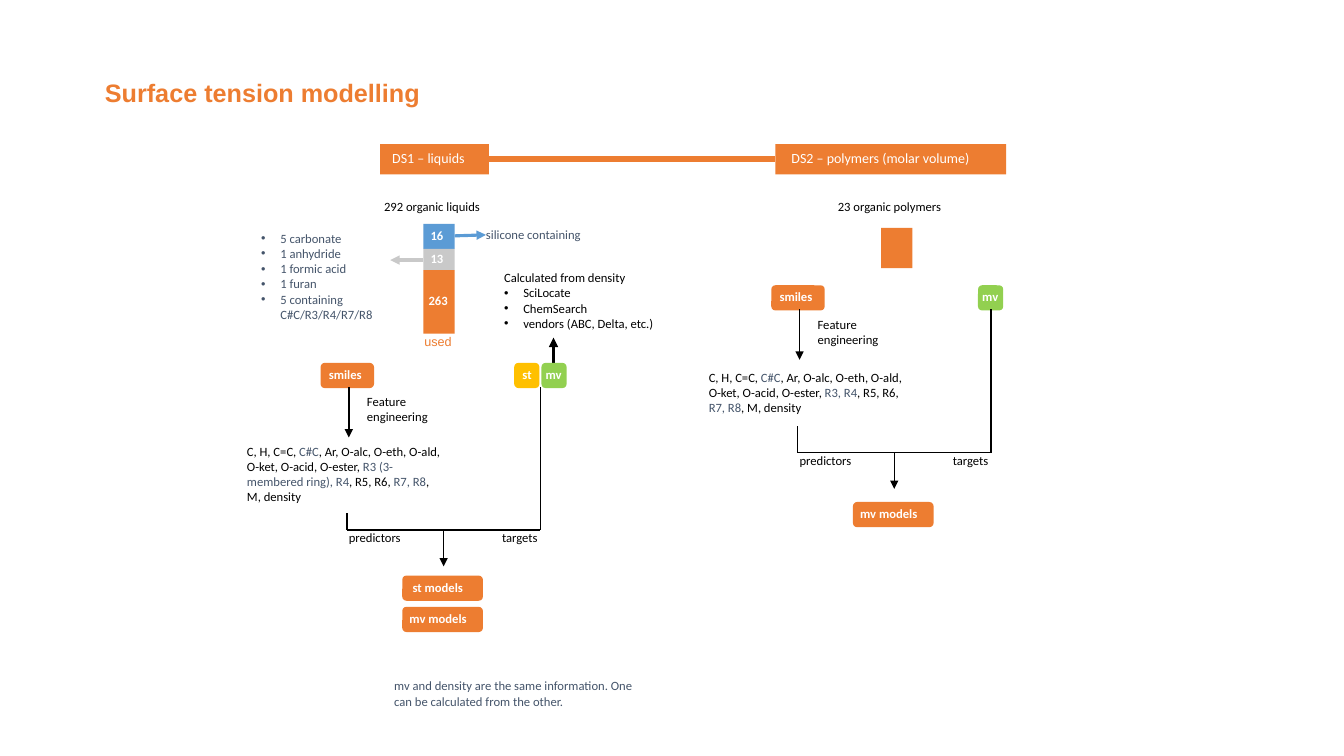
from dataclasses import dataclass

from lxml.etree import SubElement
from pptx import Presentation
from pptx.dml.color import RGBColor
from pptx.enum.shapes import MSO_CONNECTOR, MSO_SHAPE
from pptx.enum.text import MSO_ANCHOR, PP_ALIGN
from pptx.oxml.ns import qn
from pptx.util import Inches, Pt

COLUMNS, ROWS = 133.3, 75
ORANGE, BLUE, GREY = "ED7D31", "5B9BD5", "C9C9C9"
GREEN, YELLOW, SLATE = "92D050", "FFC000", "44546A"
BLACK, WHITE = "000000", "FFFFFF"


def cells(count):
    return Inches(count / 10)


def colour(hex_string):
    return RGBColor.from_string(hex_string)


@dataclass
class Box:
    slide: object
    column: float
    row: float

    def place(self, column, row, width, height):
        return (cells(self.column + column), cells(self.row + row),
                cells(width), cells(height))


def write(holder, paragraphs, size=9, ink=BLACK, font="Calibri", bold=False,
          anchor=MSO_ANCHOR.TOP, inset=(0, 0, 0, 0), bullets_from=None,
          line_spacing=None):
    frame = holder.text_frame
    frame.word_wrap = True
    frame.vertical_anchor = anchor
    (frame.margin_left, frame.margin_top,
     frame.margin_right, frame.margin_bottom) = map(cells, inset)
    for index, content in enumerate(paragraphs):
        paragraph = frame.paragraphs[0] if index == 0 else frame.add_paragraph()
        paragraph.alignment = PP_ALIGN.LEFT
        paragraph.line_spacing = line_spacing
        if bullets_from is not None and index >= bullets_from:
            properties = paragraph._p.get_or_add_pPr()
            properties.set("marL", str(cells(1.9)))
            properties.set("indent", str(-cells(1.9)))
            SubElement(properties, qn("a:buFont"), typeface="Arial")
            SubElement(properties, qn("a:buChar"), char="•")
        runs = [(content, ink)] if isinstance(content, str) else content
        for words, run_ink in runs:
            run = paragraph.add_run()
            run.text = words
            run.font.size = Pt(size)
            run.font.name = font
            run.font.bold = bold
            run.font.color.rgb = colour(run_ink)


def label(box, column, row, width, height, paragraphs, **formatting):
    holder = box.slide.shapes.add_textbox(*box.place(column, row, width, height))
    write(holder, paragraphs, **formatting)


def block(box, column, row, width, height, fill, words=None, indent=0.7,
          outline=MSO_SHAPE.RECTANGLE, **formatting):
    shape = box.slide.shapes.add_shape(outline, *box.place(column, row, width, height))
    shape.shadow.inherit = False
    shape.fill.solid()
    shape.fill.fore_color.rgb = colour(fill)
    shape.line.fill.background()
    if words:
        write(shape, [words], ink=WHITE, anchor=MSO_ANCHOR.MIDDLE,
              inset=(indent, 0, 0, 0.2), **formatting)


def pill(box, column, row, width, fill, words, indent):
    block(box, column, row, width, 2.5, fill, words, indent,
          outline=MSO_SHAPE.ROUNDED_RECTANGLE, bold=True)


def rule(box, start, end, ink=BLACK, weight=1, arrow=False):
    x1, y1, _, _ = box.place(*start, 0, 0)
    x2, y2, _, _ = box.place(*end, 0, 0)
    connector = box.slide.shapes.add_connector(MSO_CONNECTOR.STRAIGHT, x1, y1, x2, y2)
    connector.line.color.rgb = colour(ink)
    connector.line.width = Pt(weight)
    if arrow:
        SubElement(connector.line._get_or_add_ln(), qn("a:tailEnd"), type="triangle")
    SubElement(connector._element.spPr, qn("a:effectLst"))


def heading(slide):
    title = slide.shapes.title
    title.left, title.top, title.width, title.height = Box(slide, 0, 0).place(
        10.4, 5.8, 114.6, 4.9)
    write(title, ["Surface tension modelling"], size=18, ink=ORANGE, font="Arial",
          bold=True, anchor=MSO_ANCHOR.BOTTOM, line_spacing=0.9)


def dataset_band(box):
    rule(box, (10.8, 1.5), (39.2, 1.5), ORANGE, 4.5)
    block(box, 0, 0, 10.8, 3, ORANGE, "DS1 – liquids", 1.2, size=10)
    block(box, 39.2, 0, 22.9, 3, ORANGE, "DS2 – polymers (molar volume)", 1.6, size=10)


def liquids_summary(box):
    label(box, 0, 0, 11, 1.5, ["292 organic liquids"])
    segments = [("16", BLUE, 2.5, 0.7), ("13", GREY, 2.1, 0.7),
                ("263", ORANGE, 6.3, 0.5)]
    row = 2.5
    for count, fill, height, indent in segments:
        block(box, 3.9, row, 3.1, height, fill, count, indent, bold=True)
        row += height
    label(box, 4, row, 4, 1.5, ["used"], ink=ORANGE, font="Arial")
    rule(box, (7, 3.7), (10.1, 3.6), BLUE, 2.25, arrow=True)
    label(box, 10.1, 2.8, 11, 1.5, ["silicone containing"], ink=SLATE)
    rule(box, (3.9, 6.1), (0.6, 6.1), GREY, 2.25, arrow=True)
    label(box, -12.2, 3.2, 12.7, 9.1,
          ["5 carbonate", "1 anhydride", "1 formic acid", "1 furan",
           "5 containing C#C/R3/R4/R7/R8"], ink=SLATE, bullets_from=0)
    label(box, 11.9, 7.1, 16.6, 6.1,
          ["Calculated from density", "SciLocate", "ChemSearch",
           "vendors (ABC, Delta, etc.)"], bullets_from=1)
    rule(box, (16.8, 16.3), (16.8, 13.8), BLACK, 2.25, arrow=True)


def polymers_summary(box):
    label(box, 0, 0, 12, 1.5, ["23 organic polymers"])
    block(box, 4.3, 2.9, 3.1, 4, ORANGE)


def model_flow(box, targets, rings, feature_place, stub_row, models, models_row):
    join_row, predictor_column, target_column = 16.6, 2.6, 21.8
    middle = (predictor_column + target_column) / 2
    pill(box, 0, 0, 5.3, ORANGE, "smiles", 0.7)
    for name, fill, column, indent in targets:
        pill(box, column, 0, 2.5, fill, name, indent)
    rule(box, (2.8, 2.4), (2.8, 7.4), arrow=True)
    label(box, 4.6, 3.1, 9.7, 3, ["Feature engineering"])
    features = [("C, H, C=C, ", BLACK), ("C#C", SLATE),
                (", Ar, O-alc, O-eth, O-ald, O-ket, O-acid, O-ester, ", BLACK),
                (rings, SLATE), (", R5, R6, ", BLACK), ("R7, R8", SLATE),
                (", M, density", BLACK)]
    label(box, *feature_place, 19.7, 6.1, [features])
    rule(box, (predictor_column, stub_row), (predictor_column, join_row))
    rule(box, (predictor_column, join_row), (target_column, join_row))
    rule(box, (target_column, 2.4), (target_column, join_row))
    rule(box, (middle, join_row), (middle, 20.2), arrow=True)
    label(box, 2.8, join_row, 6, 1.5, ["predictors"])
    label(box, 18, join_row, 5, 1.5, ["targets"])
    for index, (name, indent) in enumerate(models):
        pill(box, 8.1, models_row + 3.1 * index, 8, ORANGE, name, indent)


def footnote(box):
    label(box, 0, 0, 25.5, 3,
          ["mv and density are the same information. One can be calculated from the other."],
          ink=SLATE)


def main():
    deck = Presentation()
    deck.slide_width, deck.slide_height = cells(COLUMNS), cells(ROWS)
    slide = deck.slides.add_slide(deck.slide_layouts[5])
    heading(slide)
    dataset_band(Box(slide, 37.7, 14.3))
    liquids_summary(Box(slide, 38.1, 19.7))
    polymers_summary(Box(slide, 83.1, 19.7))
    model_flow(Box(slide, 31.8, 36),
               targets=[("st", YELLOW, 19.2, 0.7), ("mv", GREEN, 21.9, 0.3)],
               rings="R3 (3-membered ring), R4", feature_place=(-7.3, 8),
               stub_row=14.9, models=[("st models", 0.9), ("mv models", 0.6)],
               models_row=21.1)
    model_flow(Box(slide, 76.5, 28.3), targets=[("mv", GREEN, 20.5, 0.3)],
               rings="R3, R4", feature_place=(-6.2, 8.4), stub_row=14,
               models=[("mv models", 0.6)], models_row=21.5)
    footnote(Box(slide, 39.1, 67.3))
    deck.save("out.pptx")


if __name__ == "__main__":
    main()
